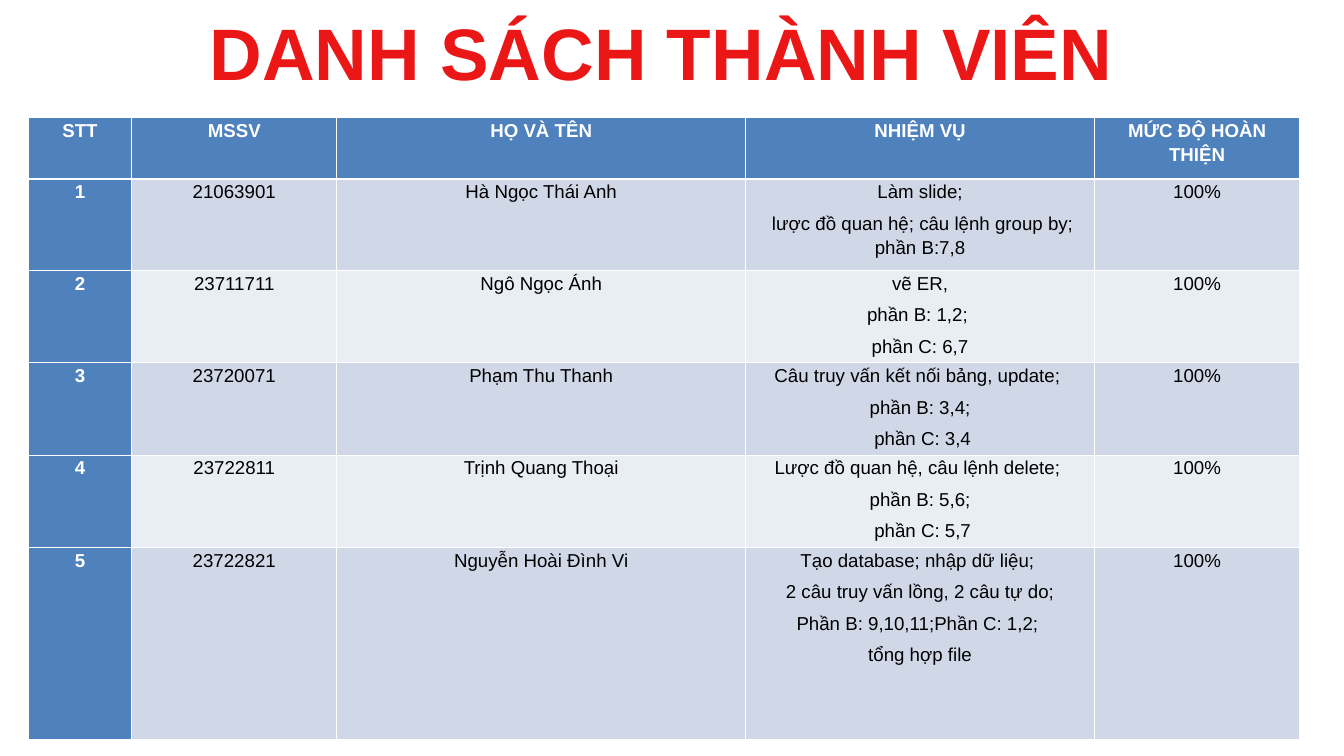
from lxml import etree
from pptx import Presentation
from pptx.dml.color import RGBColor
from pptx.enum import text
from pptx.oxml import ns
from pptx.util import Inches, Pt

WHITE = RGBColor(0xFF, 0xFF, 0xFF)
BLACK = RGBColor(0x00, 0x00, 0x00)
RED = RGBColor(0xEB, 0x17, 0x17)
BLUE = RGBColor(0x4F, 0x81, 0xBD)
BANDS = (RGBColor(0xE9, 0xED, 0xF4), RGBColor(0xD0, 0xD8, 0xE8))

COLUMN_WIDTHS = (1.54, 3.05, 6.08, 5.19, 3.05)
ROW_HEIGHTS = (0.91, 1.36, 1.32, 1.36, 1.36, 2.86)
HEADINGS = ("STT", "MSSV", "HỌ VÀ TÊN", "NHIỆM VỤ", "MỨC ĐỘ HOÀN THIỆN")
MEMBERS = (
    ("21063901", "Hà Ngọc Thái Anh",
     "Làm slide;\n lược đồ quan hệ; câu lệnh group by; phần B:7,8"),
    ("23711711", "Ngô Ngọc Ánh",
     "vẽ ER,\nphần B: 1,2; \nphần C: 6,7"),
    ("23720071", "Phạm Thu Thanh",
     "Câu truy vấn kết nối bảng, update; \nphần B: 3,4;\n phần C: 3,4"),
    ("23722811", "Trịnh Quang Thoại",
     "Lược đồ quan hệ, câu lệnh delete; \nphần B: 5,6;\n phần C: 5,7"),
    ("23722821", "Nguyễn Hoài Đình Vi",
     "Tạo database; nhập dữ liệu; \n2 câu truy vấn lồng, 2 câu tự do;\n"
     "Phần B: 9,10,11;Phần C: 1,2; \ntổng hợp file"),
)


def set_font(paragraph, size, color, bold):
    """Give a paragraph its Arial font."""
    font = paragraph.font
    font.name, font.size, font.bold = "Arial", Pt(size), bold
    font.color.rgb = color


def set_borders(cell, top, bottom):
    """Draw white borders, one point wide at the sides."""
    properties = cell._tc.get_or_add_tcPr()
    for side, width in (("L", 1), ("R", 1), ("T", top), ("B", bottom)):
        line = etree.SubElement(properties, ns.qn(f"a:ln{side}"), w=str(Pt(width)))
        fill = etree.SubElement(line, ns.qn("a:solidFill"))
        etree.SubElement(fill, ns.qn("a:srgbClr"), val=str(WHITE))


def fill_cell(cell, content, row, column):
    """Write and style one cell by its place in the table."""
    heading = row == 0 or column == 0
    cell.margin_left = cell.margin_right = Inches(0.05)
    cell.margin_top = cell.margin_bottom = Inches(0)
    set_borders(cell, 3 if row == 1 else 1, 3 if row == 0 else 1)
    cell.fill.solid()
    cell.fill.fore_color.rgb = BLUE if heading else BANDS[row % 2]
    cell.text_frame.text = content
    for paragraph in cell.text_frame.paragraphs:
        paragraph.alignment = text.PP_ALIGN.CENTER
        paragraph.line_spacing = 1.15
        paragraph.space_after = Pt(8)
        set_font(paragraph, 20, WHITE if heading else BLACK, heading)


def add_title(slide, left, top, width, height):
    """Place the slide title in the given box."""
    frame = slide.shapes.add_textbox(left, top, width, height).text_frame
    frame.word_wrap = True
    frame.margin_left = frame.margin_right = Inches(0)
    frame.margin_top = frame.margin_bottom = Inches(0)
    title = frame.paragraphs[0]
    title.text = "DANH SÁCH THÀNH VIÊN"
    title.line_spacing = Pt(81.2)
    set_font(title, 78.1, RED, True)


def add_member_table(slide, left, top, width, height):
    """Place the member table in the given box."""
    rows = [HEADINGS]
    rows += [(str(number), *member, "100%") for number, member in enumerate(MEMBERS, 1)]
    table = slide.shapes.add_table(
        len(rows), len(HEADINGS), left, top, width, height).table
    for column, share in zip(table.columns, COLUMN_WIDTHS):
        column.width = int(width * share / sum(COLUMN_WIDTHS))
    for row, share in zip(table.rows, ROW_HEIGHTS):
        row.height = int(height * share / sum(ROW_HEIGHTS))
    for r, contents in enumerate(rows):
        for c, content in enumerate(contents):
            fill_cell(table.cell(r, c), content, r, c)


def main():
    """Build and save the slide."""
    deck = Presentation()
    deck.slide_width, deck.slide_height = Inches(20), Inches(11.25)
    slide = deck.slides.add_slide(deck.slide_layouts[6])
    add_title(slide, Inches(3.12), Inches(0.28), Inches(14.91), Inches(1.34))
    add_member_table(slide, Inches(0.42), Inches(1.75), Inches(18.92), Inches(9.19))
    deck.save("out.pptx")


if __name__ == "__main__":
    main()
